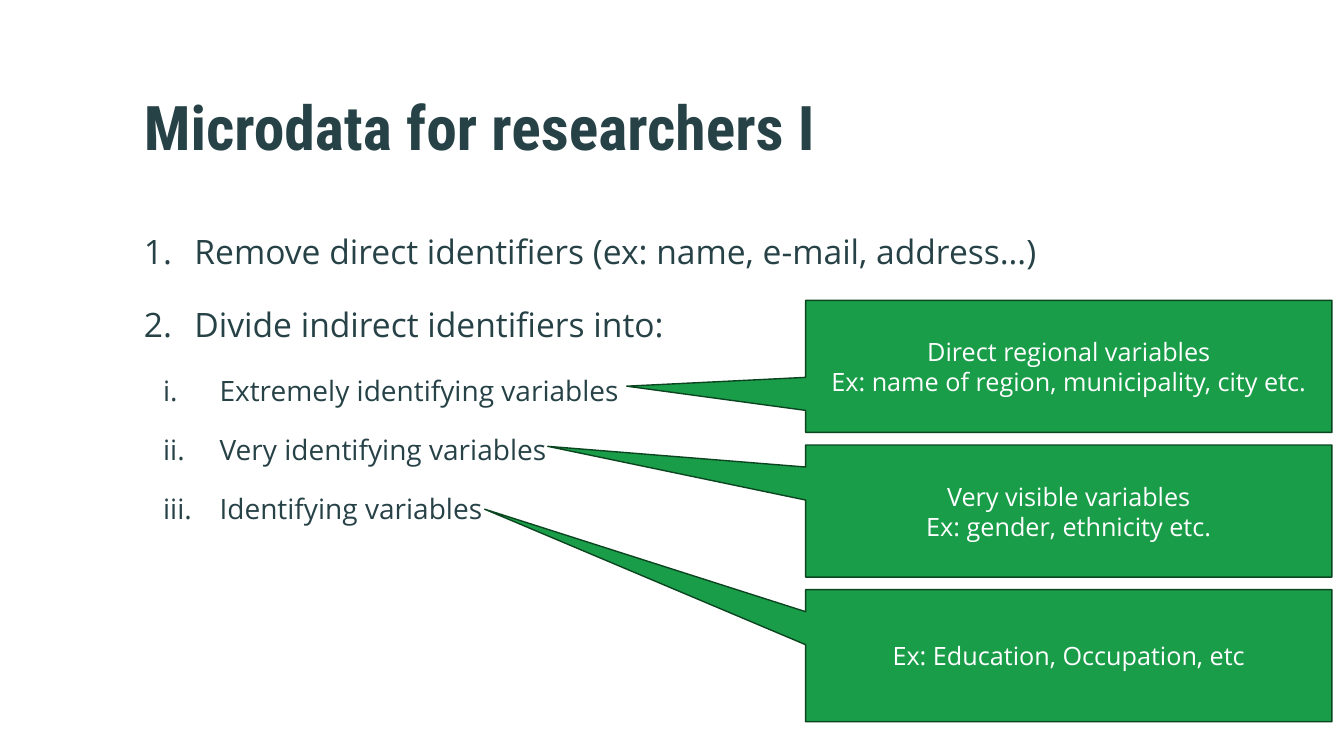
from lxml.etree import SubElement
from pptx import Presentation
from pptx.dml.color import RGBColor
from pptx.enum.shapes import MSO_SHAPE
from pptx.enum.text import MSO_ANCHOR, PP_ALIGN
from pptx.oxml.ns import qn
from pptx.util import Inches, Pt

COLORS = {"text": "274247", "green": "1A9D49", "edge": "0B4520", "white": "FFFFFF"}
HEADING_FONT = "Roboto Condensed"
BODY_FONT = "Open Sans"

# Per list level: size, left indent, first-line indent, space after, numbering
LEVELS = [
    (24, 0.5, -0.5, 9, "arabicPeriod"),
    (20, 0.75, -0.56, 6, "romanLcPeriod"),
]
STEPS = [
    (0, "Remove direct identifiers (ex: name, e-mail, address…)"),
    (0, "Divide indirect identifiers into:"),
    (1, "Extremely identifying variables"),
    (1, "Very identifying variables"),
    (1, "Identifying variables"),
]
# Lines of each callout and where its tip points, relative to its centre
CALLOUTS = [
    (["Direct regional variables", "Ex: name of region, municipality, city etc."], (-0.84, 0.15)),
    (["Very visible variables", "Ex: gender, ethnicity etc."], (-0.99, -0.49)),
    (["Ex: Education, Occupation, etc"], (-1.11, -1.11)),
]
FIRST_TOP, LAST_TOP = 2.98, 5.85


class SlideBuilder:
    def __init__(self, slide):
        self.slide = slide

    def style(self, para, size, color, font=BODY_FONT, bold=False):
        for span in para.runs:
            span.font.name = font
            span.font.size = Pt(size)
            span.font.bold = bold
            span.font.color.rgb = RGBColor.from_string(COLORS[color])

    def text_box(self, left, top, width, height):
        box = self.slide.shapes.add_textbox(
            Inches(left), Inches(top), Inches(width), Inches(height))
        box.text_frame.word_wrap = True
        return box.text_frame

    def title(self, text, *place):
        frame = self.text_box(*place)
        frame.vertical_anchor = MSO_ANCHOR.MIDDLE
        frame.margin_top = 0
        frame.text = text
        para = frame.paragraphs[0]
        para.line_spacing = 0.9
        self.style(para, 44, "text", HEADING_FONT, bold=True)

    def numbered_list(self, items, *place):
        frame = self.text_box(*place)
        frame.text = "\n".join(text for level, text in items)
        for para, (level, text) in zip(frame.paragraphs, items):
            size, left, first, after, numbering = LEVELS[level]
            para.level = level
            para.line_spacing = 1.5
            para.space_after = Pt(after)
            self.style(para, size, "text")
            # Automatic numbering and hanging indent
            properties = para._p.get_or_add_pPr()
            properties.set("marL", str(Inches(left)))
            properties.set("indent", str(Inches(first)))
            SubElement(properties, qn("a:buFont"), typeface="+mj-lt")
            SubElement(properties, qn("a:buAutoNum"), type=numbering)

    def callout(self, lines, tip, left, top, width, height):
        shape = self.slide.shapes.add_shape(
            MSO_SHAPE.RECTANGULAR_CALLOUT,
            Inches(left), Inches(top), Inches(width), Inches(height))
        shape.shadow.inherit = False
        shape.adjustments[0], shape.adjustments[1] = tip
        shape.fill.solid()
        shape.fill.fore_color.rgb = RGBColor.from_string(COLORS["green"])
        shape.line.color.rgb = RGBColor.from_string(COLORS["edge"])
        shape.line.width = Pt(1)
        frame = shape.text_frame
        frame.word_wrap = True
        frame.vertical_anchor = MSO_ANCHOR.MIDDLE
        frame.text = "\n".join(lines)
        for para in frame.paragraphs:
            para.alignment = PP_ALIGN.CENTER
            self.style(para, 18, "white")


def main():
    deck = Presentation()
    deck.slide_width, deck.slide_height = Inches(13.33), Inches(7.5)
    page = SlideBuilder(deck.slides.add_slide(deck.slide_layouts[6]))

    # Title and steps
    page.title("Microdata for researchers I", 1.33, 0.6, 10.56, 1.43)
    page.numbered_list(STEPS, 1.33, 2.04, 10.56, 4.35)

    # Evenly stacked callouts
    pitch = (LAST_TOP - FIRST_TOP) / (len(CALLOUTS) - 1)
    for index, (lines, tip) in enumerate(CALLOUTS):
        page.callout(lines, tip, 7.99, FIRST_TOP + index * pitch, 5.22, 1.31)

    deck.save("out.pptx")


if __name__ == "__main__":
    main()
